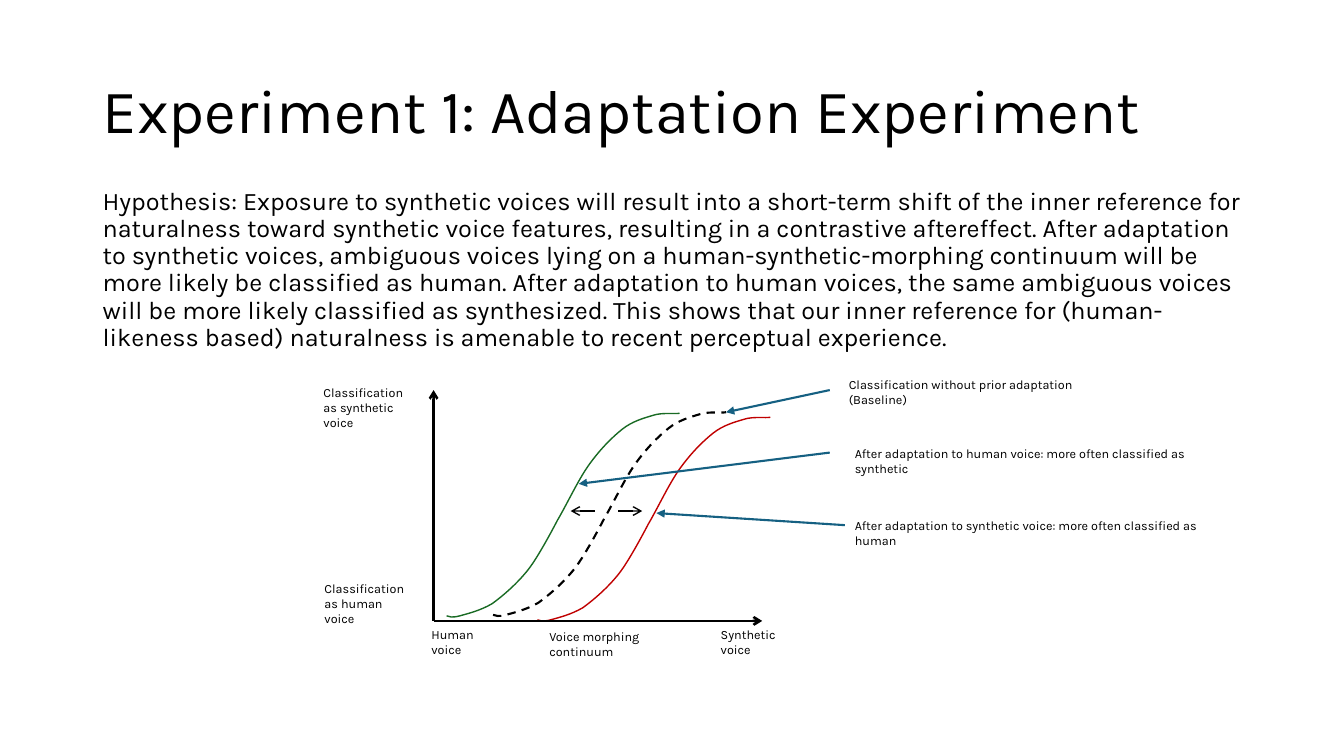
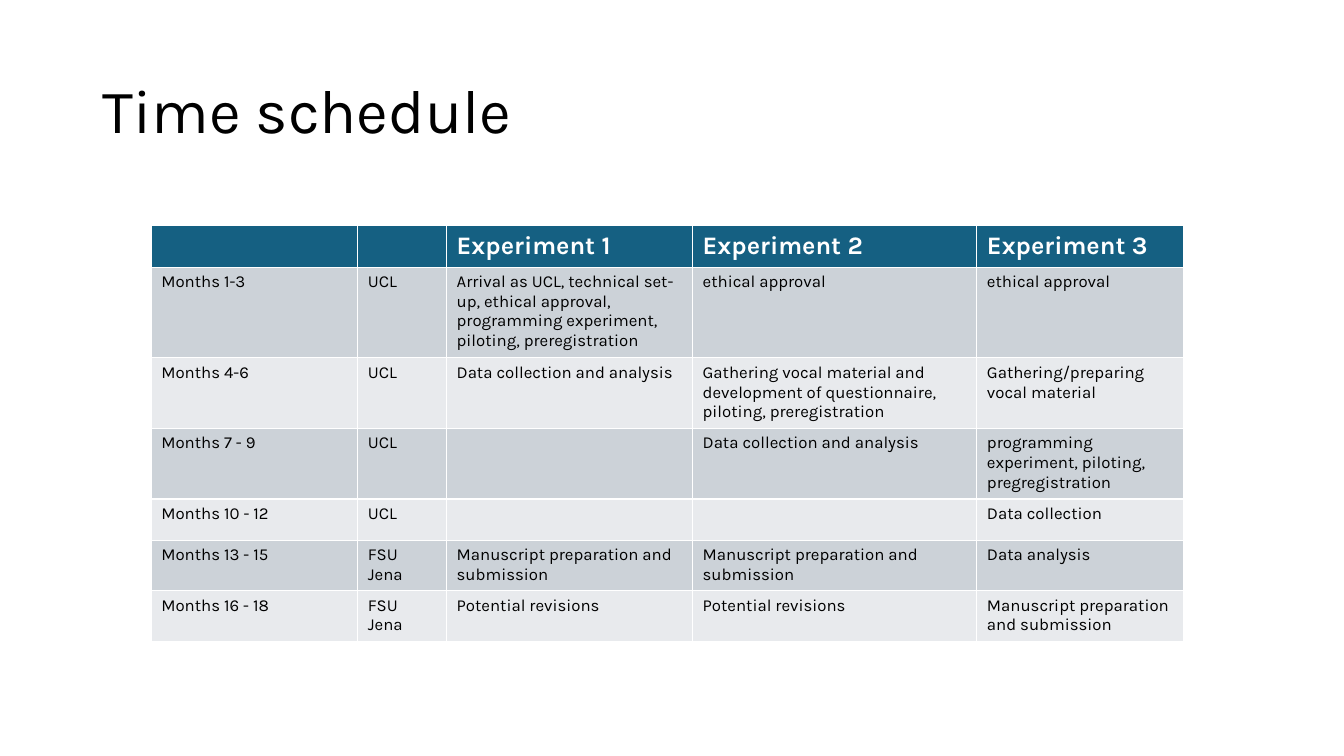
from pptx import Presentation
from pptx.dml.color import RGBColor
from pptx.enum.dml import MSO_LINE as Dash
from pptx.enum.shapes import MSO_CONNECTOR as Link
from pptx.enum.text import MSO_ANCHOR as Anchor
from pptx.oxml.ns import qn
from pptx.util import Inches, Pt
from lxml.etree import SubElement as sub

FONT = "Karla"
BLACK, WHITE, BLUE = "000000", "FFFFFF", "156082"
GREEN, RED = "196B24", "C00000"
BANDS = ["CCD2D8", "E8EAED"]
rgb = RGBColor.from_string


def write(frame, lines, size, color=BLACK, bold=False):
    frame.word_wrap = True
    for i, line in enumerate(lines):
        para = frame.add_paragraph() if i else frame.paragraphs[0]
        run = para.add_run()
        run.text = line
        font = run.font
        font.name, font.size, font.bold = FONT, Pt(size), bold
        font.color.rgb = rgb(color)


def box(slide, spot, lines, size):
    frame = slide.shapes.add_textbox(*map(Inches, spot)).text_frame
    write(frame, lines, size)
    return frame


deck = Presentation()
deck.slide_width, deck.slide_height = Inches(13.33), Inches(7.5)

pages = []
for title in ["Experiment 1: Adaptation Experiment", "Time schedule"]:
    page = deck.slides.add_slide(deck.slide_layouts[6])
    head = box(page, (0.92, 0.4, 11.5, 1.45), [title], 44)
    head.vertical_anchor = Anchor.MIDDLE
    head.paragraphs[0].line_spacing = 0.9
    pages.append(page)
trial, plan = pages

body = box(trial, (0.92, 1.82, 11.5, 1.75), [
    "Hypothesis: Exposure to synthetic voices will result into a short-term "
    "shift of the inner reference for naturalness toward synthetic voice "
    "features, resulting in a contrastive aftereffect. After adaptation to "
    "synthetic voices, ambiguous voices lying on a human-synthetic-morphing "
    "continuum will be more likely be classified as human. After adaptation "
    "to human voices, the same ambiguous voices will be more likely "
    "classified as synthesized. This shows that our inner reference for "
    "(human-likeness based) naturalness is amenable to recent perceptual "
    "experience."], 18)
body.paragraphs[0].line_spacing = 0.9
body.paragraphs[0].space_before = Pt(10)

curve = [
    (0, 2.01), (0.03, 2.02), (0.05, 2.03), (0.13, 2.01),
    (0.2, 1.99), (0.33, 1.96), (0.45, 1.89),
    (0.56, 1.81), (0.7, 1.69), (0.81, 1.55),
    (0.92, 1.41), (1.1, 1.06), (1.1, 1.06),
    (1.2, 0.89), (1.31, 0.65), (1.42, 0.5),
    (1.53, 0.35), (1.64, 0.24), (1.74, 0.16),
    (1.84, 0.08), (1.95, 0.05), (2.05, 0.02),
    (2.14, -0.01), (2.27, 0.01), (2.31, 0),
]
for left, top, color, width, dash in [
    (4.89, 4.09, BLACK, 1.5, Dash.DASH),
    (5.33, 4.14, RED, 1, Dash.SOLID),
    (4.43, 4.1, GREEN, 1, Dash.SOLID),
]:
    spots = [(Inches(left + x), Inches(top + y)) for x, y in curve]
    pen = trial.shapes.build_freeform(*spots[0])
    pen.add_line_segments(spots[1:], close=False)
    shape = pen.convert_to_shape()
    shape.shadow.inherit = False
    shape.fill.background()
    shape.line.color.rgb = rgb(color)
    shape.line.width = Pt(width)
    shape.line.dash_style = dash
    steps = list(shape._element.iter(qn("a:lnTo")))
    for i in range(0, len(steps), 3):
        bend = steps[i]
        bend.tag = qn("a:cubicBezTo")
        for step in steps[i + 1:i + 3]:
            bend.append(step[0])
            step.getparent().remove(step)

for x1, y1, x2, y2, color, width, tip in [
    (4.3, 6.16, 4.3, 3.87, BLACK, 1.75, "arrow"),
    (4.3, 6.16, 7.56, 6.16, BLACK, 1.75, "arrow"),
    (6.13, 5.07, 6.37, 5.07, BLACK, 1, "arrow"),
    (5.9, 5.07, 5.66, 5.07, BLACK, 1, "arrow"),
    (8.23, 3.87, 7.2, 4.09, BLUE, 1.5, "triangle"),
    (8.23, 4.49, 5.74, 4.8, BLUE, 1.5, "triangle"),
    (8.38, 5.21, 6.51, 5.09, BLUE, 1.5, "triangle"),
]:
    ends = map(Inches, (x1, y1, x2, y2))
    arrow = trial.shapes.add_connector(Link.STRAIGHT, *ends)
    arrow.line.color.rgb = rgb(color)
    arrow.line.width = Pt(width)
    sub(arrow.line._get_or_add_ln(), qn("a:tailEnd"), type=tip)
    sub(arrow._element.spPr, qn("a:effectLst"))

for spot, lines in [
    ((3.11, 3.77, 1.18, 0.4), ["Classification", "as synthetic voice"]),
    ((3.12, 5.71, 1.06, 0.4), ["Classification", "as human voice"]),
    ((5.35, 6.19, 1.7, 0.25), ["Voice morphing continuum"]),
    ((4.18, 6.17, 0.75, 0.4), ["Human", "voice"]),
    ((7.05, 6.17, 0.85, 0.4), ["Synthetic", "voice"]),
    ((8.32, 3.69, 2.86, 0.25),
     ["Classification without prior adaptation (Baseline)"]),
    ((8.38, 4.37, 3.85, 0.25),
     ["After adaptation to human voice: more often classified as synthetic"]),
    ((8.38, 5.09, 3.84, 0.25),
     ["After adaptation to synthetic voice: more often classified as human"]),
]:
    box(trial, spot, lines, 9)

paper = "Manuscript preparation and submission"
data = "Data collection and analysis"
rows = [
    ["", "", "Experiment 1", "Experiment 2", "Experiment 3"],
    ["Months 1-3", "UCL",
     "Arrival as UCL, technical set-up, ethical approval, programming "
     "experiment, piloting, preregistration",
     "ethical approval", "ethical approval"],
    ["Months 4-6", "UCL", data,
     "Gathering vocal material and development of questionnaire, piloting, "
     "preregistration",
     "Gathering/preparing vocal material"],
    ["Months 7 - 9", "UCL", "", data,
     "programming experiment, piloting, pregregistration"],
    ["Months 10 - 12", "UCL", "", "", "Data collection"],
    ["Months 13 - 15", "FSU Jena", paper, paper, "Data analysis"],
    ["Months 16 - 18", "FSU Jena", "Potential revisions",
     "Potential revisions", paper],
]
widths = [2.05, 0.88, 2.44, 2.82, 2.05]
high = 0.41
area = map(Inches, (1.5, 2.24, sum(widths), high * len(rows)))
grid = plan.shapes.add_table(len(rows), len(widths), *area).table
for col, width in zip(grid.columns, widths):
    col.width = Inches(width)
for r, row in enumerate(rows):
    grid.rows[r].height = Inches(high)
    for c, words in enumerate(row):
        cell = grid.cell(r, c)
        cell.fill.solid()
        cell.fill.fore_color.rgb = rgb(BANDS[(r - 1) % 2] if r else BLUE)
        if words and r:
            write(cell.text_frame, [words], 12)
        elif words:
            write(cell.text_frame, [words], 18, WHITE, True)

deck.save("out.pptx")
